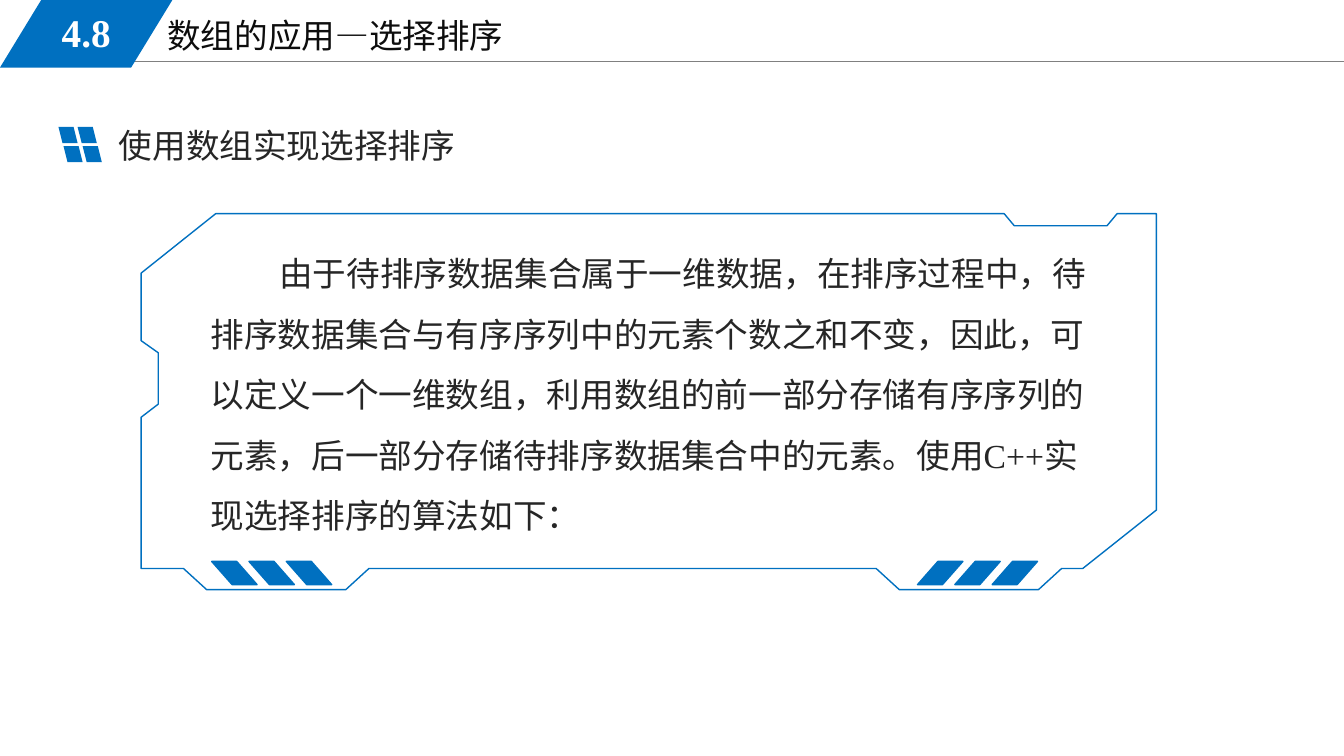
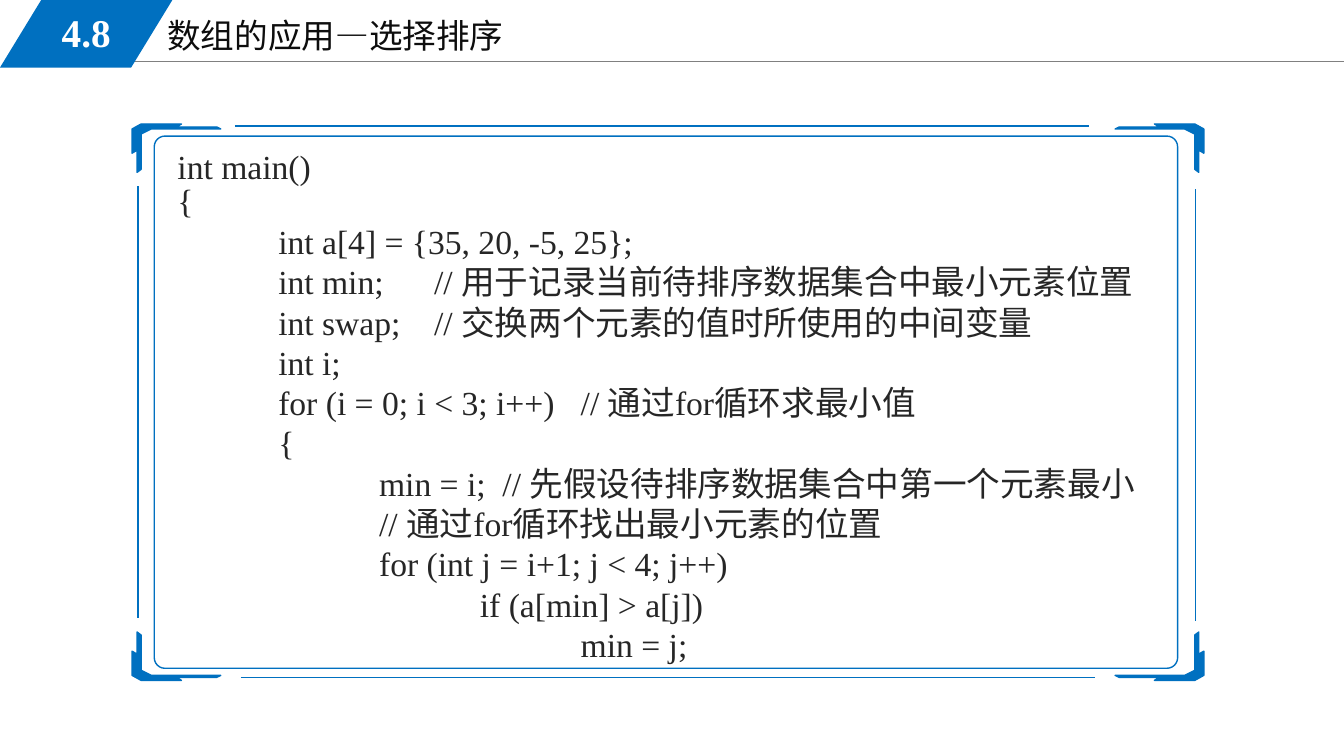
from lxml.etree import SubElement
from pptx import Presentation
from pptx.dml.color import RGBColor
from pptx.enum.shapes import MSO_CONNECTOR, MSO_SHAPE
from pptx.enum.text import MSO_ANCHOR, MSO_AUTO_SIZE, PP_ALIGN
from pptx.oxml.ns import qn
from pptx.util import Inches, Pt

BLUE, GREY, WHITE = "0070C0", "808080", "FFFFFF"
TITLE_COLOR, TEXT_COLOR = "0D0D0D", "262626"
FONT = "Times New Roman"
SECTION, TITLE = "4.8", "数组的应用—选择排序"

HEADING = "使用数组实现选择排序"
EXPLANATION = (
    "由于待排序数据集合属于一维数据，在排序过程中，待排序数据集合与有序序列中的元素个数之和不变，"
    "因此，可以定义一个一维数组，利用数组的前一部分存储有序序列的元素，"
    "后一部分存储待排序数据集合中的元素。使用C++实现选择排序的算法如下："
)
CODE = """int main()
{
\tint a[4] = {35, 20, -5, 25};
\tint min;      // 用于记录当前待排序数据集合中最小元素位置
\tint swap;    // 交换两个元素的值时所使用的中间变量
\tint i;
\tfor (i = 0; i < 3; i++)\t// 通过for循环求最小值
\t{
\t\tmin = i;  // 先假设待排序数据集合中第一个元素最小
\t\t// 通过for循环找出最小元素的位置
\t\tfor (int j = i+1; j < 4; j++)
\t\t\tif (a[min] > a[j])
\t\t\t\tmin = j;"""

# Outlines in inches from the top left of their box
PANEL_OUTLINE = [
    (0.74, 0), (8.56, 0), (8.66, 0.12), (9.58, 0.12), (9.68, 0), (10.07, 0),
    (10.07, 2.94), (9.34, 3.52), (9.13, 3.52), (8.9, 3.73), (7.52, 3.73),
    (7.29, 3.52), (2.26, 3.52), (2.03, 3.73), (0.65, 3.73), (0.42, 3.52),
    (0, 3.52), (0, 2.02), (0.17, 1.89), (0.17, 1.38), (0, 1.26), (0, 0.59),
]
CORNER_OUTLINE = [
    (0.09, 0), (0.49, 0), (0.44, 0.03), (0.84, 0.03), (0.88, 0.05), (0.19, 0.05),
    (0.09, 0.1), (0.09, 0.45), (0.05, 0.48), (0.05, 0.26), (0, 0.29), (0, 0.05),
]


def rgb(color):
    return RGBColor.from_string(color)


def paint(shape, fill=None, line=None):
    shape.shadow.inherit = False
    if fill:
        shape.fill.solid()
        shape.fill.fore_color.rgb = rgb(fill)
    else:
        shape.fill.background()
    if line:
        shape.line.color.rgb = rgb(line)
        shape.line.width = Pt(1)
    else:
        shape.line.fill.background()


def style(para, color, size=24, bold=False):
    font = para.font
    font.name, font.size, font.bold = FONT, Pt(size), bold
    font.color.rgb = rgb(color)


def place(shape, left, top, width, height):
    shape.left, shape.top = Inches(left), Inches(top)
    shape.width, shape.height = Inches(width), Inches(height)


def prepare_frame(shape):
    frame = shape.text_frame
    frame.word_wrap = True
    frame.auto_size = MSO_AUTO_SIZE.NONE
    frame.vertical_anchor = MSO_ANCHOR.TOP
    return frame


def add_line(page, start, end, color=BLUE, width=1):
    line = page.shapes.add_connector(
        MSO_CONNECTOR.STRAIGHT, *(Inches(value) for value in (*start, *end)))
    line.line.color.rgb = rgb(color)
    line.line.width = Pt(width)
    SubElement(line._element.spPr, qn("a:effectLst"))


def add_slant(page, left, top, width, height, slant, mirrored=False, line=None):
    shape = page.shapes.add_shape(
        MSO_SHAPE.PARALLELOGRAM, Inches(left), Inches(top), Inches(width), Inches(height))
    shape.adjustments[0] = slant
    if mirrored:
        shape._element.spPr.xfrm.set("flipH", "1")
    paint(shape, BLUE, line)
    return shape


def add_outline(page, points, fill=None):
    corners = [(Inches(x), Inches(y)) for x, y in points]
    builder = page.shapes.build_freeform(*corners[0])
    builder.add_line_segments(corners[1:], close=True)
    paint(builder.convert_to_shape(), fill, BLUE)


def add_page(deck):
    """Add a slide with the shared header band."""
    page = deck.slides.add_slide(deck.slide_layouts[1])
    add_line(page, (1.13, 0.61), (13.33, 0.61), GREY, 0.75)

    title = page.shapes.title
    place(title, 1.56, 0.1, 5.67, 0.51)
    para = prepare_frame(title).paragraphs[0]
    para.text = TITLE
    para.alignment = PP_ALIGN.LEFT
    style(para, TITLE_COLOR)

    badge = add_slant(page, 0, 0, 1.71, 0.67, 0.61)
    frame = badge.text_frame
    frame.word_wrap = False
    frame.vertical_anchor = MSO_ANCHOR.MIDDLE
    frame.margin_top, frame.margin_bottom = 0, Inches(0.03)
    para = frame.paragraphs[0]
    para.text = SECTION
    para.alignment = PP_ALIGN.CENTER
    style(para, WHITE, 28, bold=True)
    return page


def fill_body(page, box, lines, spacings, indent=0):
    """Put lines without bullets, with one-inch tabs, into the body placeholder."""
    body = page.placeholders[1]
    place(body, *box)
    frame = prepare_frame(body)
    for index, (line, spacing) in enumerate(zip(lines, spacings)):
        para = frame.add_paragraph() if index else frame.paragraphs[0]
        para.text = line
        para.line_spacing = spacing
        para.space_before = Pt(0)
        properties = para._p.get_or_add_pPr()
        properties.set("marL", "0")
        properties.set("indent", str(Inches(indent)))
        properties.set("defTabSz", str(Inches(1)))
        SubElement(properties, qn("a:buNone"))
        style(para, TEXT_COLOR)


def add_heading(page, left, top):
    """Add a heading with its four-pane marker."""
    for row in range(2):
        for column in range(2):
            add_slant(page, left + 0.19 * column + 0.05 * row, top + 0.07 + 0.19 * row,
                      0.19, 0.16, 0.25, mirrored=True)
    box = page.shapes.add_textbox(Inches(left + 0.5), Inches(top), Inches(7.95), Inches(0.5))
    para = prepare_frame(box).paragraphs[0]
    para.text = HEADING
    style(para, TEXT_COLOR)


def add_notched_panel(page, left, top):
    add_outline(page, [(left + x, top + y) for x, y in PANEL_OUTLINE])
    for offset, mirrored in ((0.7, True), (7.7, False)):
        for index in range(3):
            add_slant(page, left + offset + 0.37 * index, top + 3.45, 0.45, 0.23,
                      0.88, mirrored, BLUE)


def add_code_frame(page, left, top, width, height):
    """Draw a rounded panel with four corner brackets and side lines."""
    right, bottom = left + width, top + height
    panel = page.shapes.add_shape(
        MSO_SHAPE.ROUNDED_RECTANGLE, Inches(left + 0.22), Inches(top + 0.12),
        Inches(width - 0.48), Inches(height - 0.24))
    panel.adjustments[0] = 0.02
    paint(panel, line=BLUE)
    for corner_x, x_sign in ((left, 1), (right, -1)):
        for corner_y, y_sign in ((top, 1), (bottom, -1)):
            add_outline(page, [(corner_x + x_sign * x, corner_y + y_sign * y)
                               for x, y in CORNER_OUTLINE], BLUE)
    for y, start in ((top + 0.02, left + 1.02), (bottom - 0.03, left + 1.08)):
        add_line(page, (start, y), (start + 8.47, y))
    for x, start in ((left + 0.06, top + 0.62), (right - 0.08, top + 0.65)):
        add_line(page, (x, start), (x, start + 4.28))


def build_explanation(deck):
    page = add_page(deck)
    fill_body(page, (1.99, 2.26, 9.13, 3.06), [EXPLANATION], [1.5], indent=0.68)
    add_notched_panel(page, 1.4, 2.12)
    add_heading(page, 0.58, 1.19)


def build_code(deck):
    page = add_page(deck)
    add_code_frame(page, 1.31, 1.23, 10.63, 5.52)
    lines = CODE.split("\n")
    spacings = [0.85] * 2 + [1.0] * (len(lines) - 2)
    fill_body(page, (1.66, 1.46, 9.94, 5.23), lines, spacings)


def main():
    deck = Presentation()
    deck.slide_width, deck.slide_height = Inches(13.33), Inches(7.5)
    build_explanation(deck)
    build_code(deck)
    deck.save("out.pptx")


if __name__ == "__main__":
    main()
